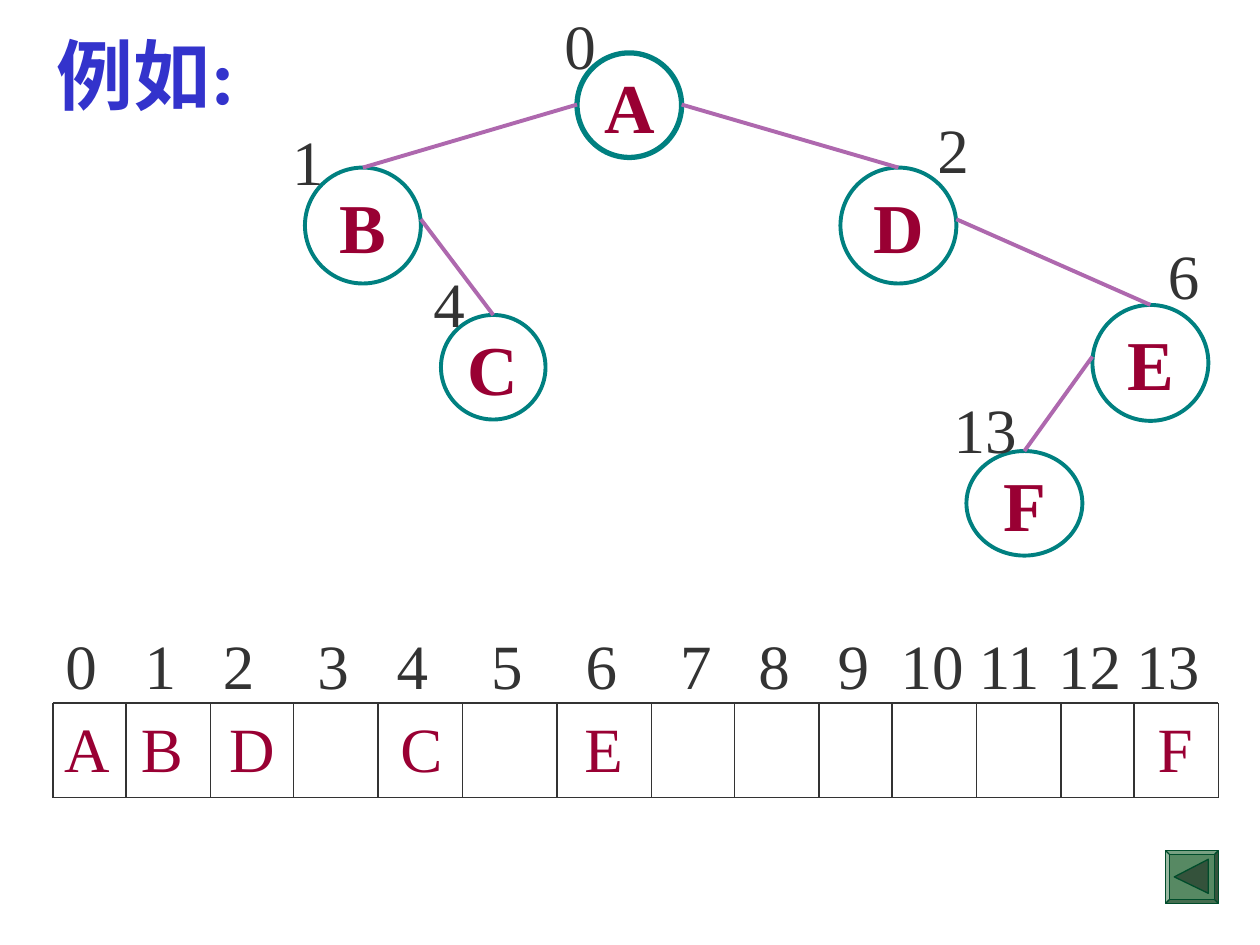
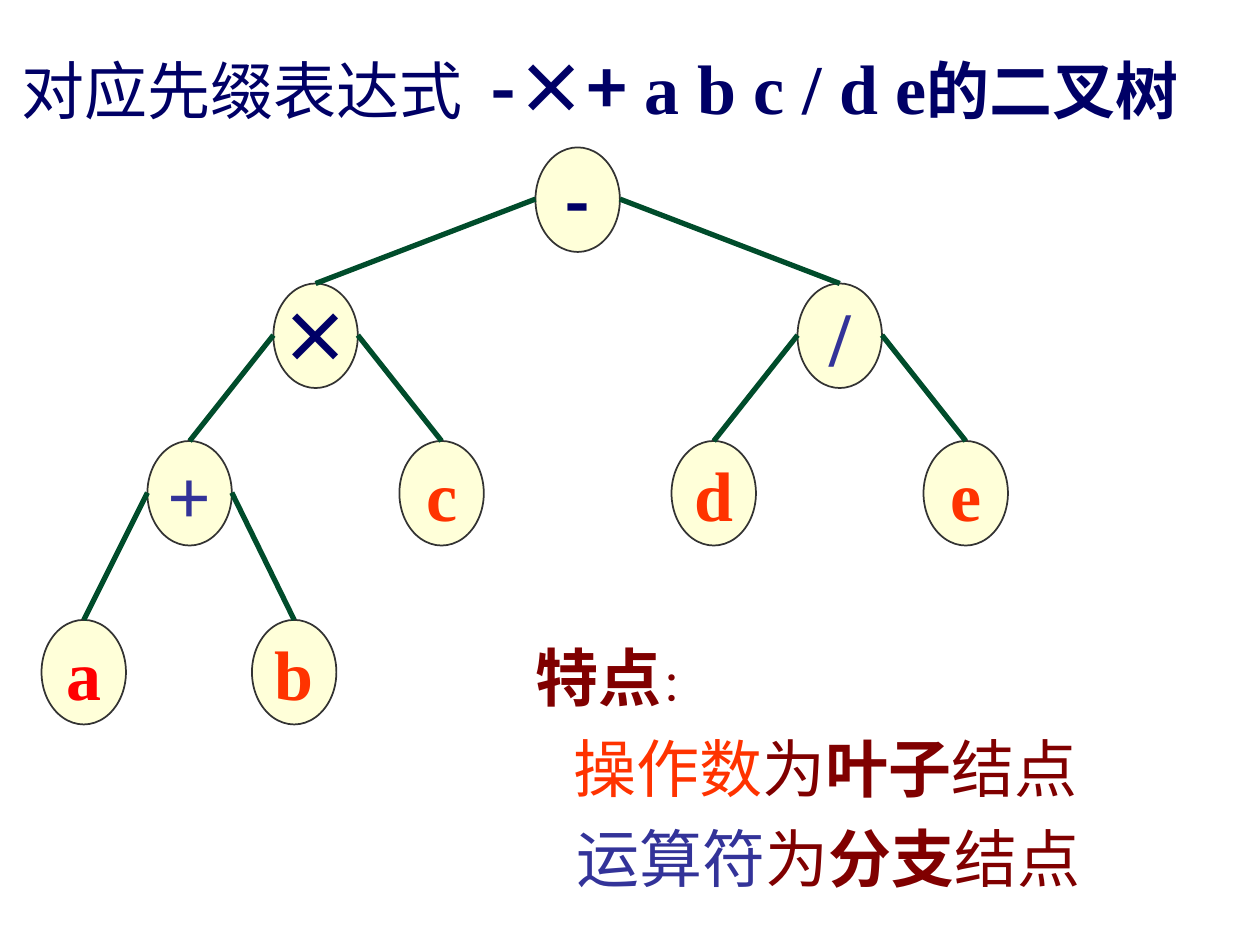
from lxml import etree
from pptx import Presentation
from pptx.dml.color import RGBColor
from pptx.enum import shapes, text
from pptx.oxml.ns import qn
from pptx.util import Inches, Pt

WHITE = RGBColor(0xFF, 0xFF, 0xFF)
INK = RGBColor(0x33, 0x33, 0x33)
BLUE = RGBColor(0x33, 0x33, 0xCC)
NAVY = RGBColor(0x00, 0x00, 0x66)
INDIGO = RGBColor(0x33, 0x33, 0x99)
CRIMSON = RGBColor(0x99, 0x00, 0x33)
MAROON = RGBColor(0x80, 0x00, 0x00)
RED = RGBColor(0xFF, 0x00, 0x00)
ORANGE = RGBColor(0xFF, 0x33, 0x00)
TEAL = RGBColor(0x00, 0x80, 0x80)
MAUVE = RGBColor(0xAE, 0x68, 0xAE)
CREAM = RGBColor(0xFF, 0xFF, 0xD9)
FOREST = RGBColor(0x00, 0x4C, 0x2B)
BUTTON_GREEN = RGBColor(0x57, 0x89, 0x63)
ARROW_GREEN = RGBColor(0x34, 0x52, 0x3B)

SERIF = "Times New Roman"
HAN = "Noto Sans CJK SC"


class TreeDeck:
    def __init__(self):
        self.deck = Presentation()
        self.deck.slide_width, self.deck.slide_height = Inches(10), Inches(7.5)
        self.slide = None

    def new_slide(self, box, runs, spacing=1.0):
        """Add a slide whose title fills box with the given styled runs."""
        self.slide = self.deck.slides.add_slide(self.deck.slide_layouts[5])
        title = self.slide.shapes.title
        title.left, title.top, title.width, title.height = map(Inches, box)
        self.fill_frame(title.text_frame, [(0, runs)], spacing)

    def style_run(self, run, size, color, bold=False, face=SERIF):
        font = run.font
        font.size, font.bold, font.name = Pt(size), bold, face
        font.color.rgb = color
        etree.SubElement(run._r.get_or_add_rPr(), qn("a:ea"), typeface=HAN)

    def fill_frame(self, frame, lines, spacing=1.0):
        """Write lines of (indent in inches, [(words, style...), ...])."""
        frame.word_wrap = False
        frame.auto_size = text.MSO_AUTO_SIZE.NONE
        frame.vertical_anchor = text.MSO_ANCHOR.TOP
        for number, (indent, runs) in enumerate(lines):
            line = frame.add_paragraph() if number else frame.paragraphs[0]
            line.alignment = text.PP_ALIGN.LEFT
            line.line_spacing = spacing
            if indent:
                line._p.get_or_add_pPr().set("marL", str(Inches(indent)))
            for words, *style in runs:
                run = line.add_run()
                run.text = words
                self.style_run(run, *style)

    def label(self, box, lines, spacing=1.0):
        frame = self.slide.shapes.add_textbox(*map(Inches, box)).text_frame
        self.fill_frame(frame, lines, spacing)
        return frame

    def tabbed_label(self, box, words, stops, color):
        """Write words on one line, all but the first at a tab stop."""
        frame = self.label(box, [(0, [("\t".join(words), 36, color)])])
        props = frame.paragraphs[0]._p.get_or_add_pPr()
        tabs = etree.SubElement(props, qn("a:tabLst"))
        for stop in stops:
            etree.SubElement(tabs, qn("a:tab"), pos=str(Inches(stop)), algn="l")

    def paint(self, shape, fill, line, width):
        shape.shadow.inherit = False
        shape.fill.solid()
        shape.fill.fore_color.rgb = fill
        shape.line.color.rgb = line
        shape.line.width = Pt(width)

    def node(self, box, value, style, fill, line, width):
        oval = self.slide.shapes.add_shape(shapes.MSO_SHAPE.OVAL, *map(Inches, box))
        self.paint(oval, fill, line, width)
        self.fill_frame(oval.text_frame, [(0, [(value, *style)])])
        oval.text_frame.vertical_anchor = text.MSO_ANCHOR.MIDDLE
        oval.text_frame.paragraphs[0].alignment = text.PP_ALIGN.CENTER
        return oval

    def line(self, ends, color, width):
        stroke = self.slide.shapes.add_connector(
            shapes.MSO_CONNECTOR.STRAIGHT, *ends)
        stroke.line.color.rgb = color
        stroke.line.width = Pt(width)
        etree.SubElement(stroke._element.spPr, qn("a:effectLst"))

    def edge(self, parent, child, color, width):
        """Join the near side of parent to the top of child."""
        start_x = parent.left + (parent.width if child.left > parent.left else 0)
        self.line((start_x, parent.top + Inches(0.41),
                   child.left + child.width // 2, child.top), color, width)

    def grid(self, top, bottom, columns):
        """Rule one row of cells between the column positions."""
        for y in (top, bottom):
            self.line(map(Inches, (columns[0], y, columns[-1], y)), INK, 1)
        for x in columns:
            self.line(map(Inches, (x, top, x, bottom)), INK, 1)

    def back_button(self, left, top, size):
        button = self.slide.shapes.add_shape(
            shapes.MSO_SHAPE.BEVEL, *map(Inches, (left, top, size, size)))
        button.adjustments[0] = 0.07
        self.paint(button, BUTTON_GREEN, FOREST, 0.75)
        outline = self.slide.shapes.build_freeform(
            Inches(left + 0.07), Inches(top + size / 2))
        outline.add_line_segments([(Inches(left + 0.34), Inches(top + 0.07)),
                                   (Inches(left + 0.34), Inches(top + 0.34))])
        self.paint(outline.convert_to_shape(), ARROW_GREEN, FOREST, 0.75)


def build_storage_slide(deck):
    deck.new_slide((0.35, 0.17, 1.77, 0.84), [("例如:", 44, BLUE, True)])
    # value: node box, array index, left and top of the index label
    tree = {
        "A": ((4.58, 0.42, 0.83, 0.83), 0, 4.38, 0),
        "B": ((2.42, 1.33, 0.92, 0.92), 1, 2.22, 0.92),
        "C": ((3.5, 2.5, 0.83, 0.83), 4, 3.34, 2.05),
        "D": ((6.67, 1.33, 0.92, 0.92), 2, 7.34, 0.83),
        "E": ((8.67, 2.42, 0.92, 0.92), 6, 9.17, 1.83),
        "F": ((7.67, 3.58, 0.92, 0.83), 13, 7.47, 3.05),
    }
    nodes = {value: deck.node(box, value, (40, CRIMSON, True), WHITE, TEAL,
                              3 if value == "A" else 2.25)
             for value, (box, *_) in tree.items()}

    deck.grid(5.58, 6.33, (0.42, 1, 1.67, 2.33, 3, 3.67, 4.42, 5.17, 5.83,
                           6.5, 7.08, 7.75, 8.42, 9, 9.67))
    deck.tabbed_label((0.41, 5.58, 9.25, 0.7), "ABDCEF",
                      (0.61, 1.31, 2.67, 4.13, 8.68), CRIMSON)
    deck.tabbed_label((0.42, 4.92, 9.28, 0.7), [str(n) for n in range(14)],
                      (0.63, 1.25, 2, 2.63, 3.38, 4.13, 4.88, 5.5, 6.13,
                       6.63, 7.25, 7.88, 8.5), INK)

    for parent, child in ("AB", "BC", "AD", "DE", "EF"):
        deck.edge(nodes[parent], nodes[child], MAUVE, 2.25)
    for _, index, left, top in tree.values():
        width = 0.2 + 0.25 * len(str(index))
        deck.label((left, top, width, 0.7), [(0, [(str(index), 36, INK)])])
    deck.back_button(9.25, 6.75, 0.42)


def build_expression_slide(deck):
    deck.new_slide((0.07, 0.17, 9.83, 0.9), [
        ("对应先缀表达式", 36, NAVY), (" ", 36, NAVY),
        ("-×+", 40, NAVY, True, HAN), (" a b c / d e", 40, NAVY, True),
        ("的二叉树", 36, NAVY, True)], 1.2)
    gap = deck.slide.shapes.title.text_frame.paragraphs[0].runs[1]
    gap._r.get_or_add_rPr().set("spc", "800")

    operand = (40, ORANGE, True)
    sign = (40, NAVY, True, HAN)
    operator = (44, INDIGO, True)
    tree = {
        "-": (4.25, 1.17, sign),
        "×": (2.17, 2.25, sign), "/": (6.33, 2.25, operator),
        "+": (1.17, 3.5, operator), "c": (3.17, 3.5, operand),
        "d": (5.33, 3.5, operand), "e": (7.33, 3.5, operand),
        "a": (0.33, 4.92, (40, RED, True)), "b": (2, 4.92, operand),
    }
    nodes = {value: deck.node((left, top, 0.67, 0.83), value, style, CREAM, INK, 1)
             for value, (left, top, style) in tree.items()}
    for parent, child in ("-×", "-/", "×+", "×c", "+a", "+b", "/d", "/e"):
        deck.edge(nodes[parent], nodes[child], FOREST, 3)

    features = [(0, [("特点", 36, MAROON, True), ("：", 24, MAROON)])]
    for indent, subject, color, kind in ((0.3, "操作数", ORANGE, "叶子"),
                                         (0.33, "运算符", INDIGO, "分支")):
        features.append((indent, [(subject, 36, color), ("为", 36, MAROON),
                                  (kind, 36, MAROON, True), ("结点", 36, MAROON)]))
    deck.label((4.15, 4.9, 4.95, 2.26), features, 1.2)


def main():
    deck = TreeDeck()
    build_storage_slide(deck)
    build_expression_slide(deck)
    deck.deck.save("out.pptx")


if __name__ == "__main__":
    main()
